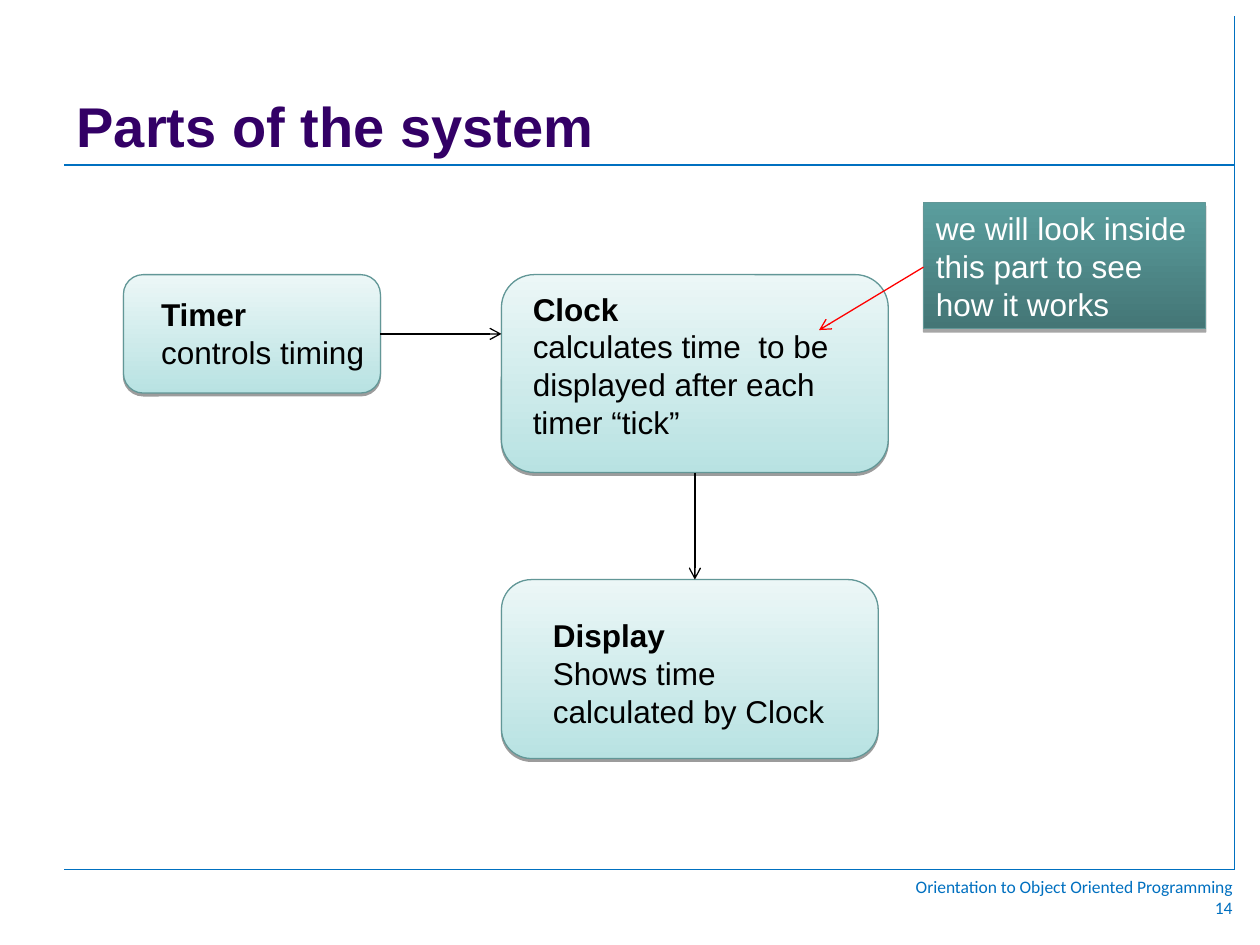
import pptx
import pptx.dml.color
import pptx.enum.shapes
import pptx.enum.text
import pptx.oxml
import pptx.oxml.ns
import pptx.util
from lxml import etree
from pptx.util import Inches

COLORS = {
    "title": "330066",
    "rule": "0070C0",
    "part_bottom": "B8E2E2",
    "part_top": "ECF7F7",
    "note_bottom": "447676",
    "note_top": "5A9D9D",
    "outline": "629797",
    "black": "000000",
    "white": "FFFFFF",
    "pointer": "FF0000",
}


def rgb(name):
    """Return the named colour."""
    return pptx.dml.color.RGBColor.from_string(COLORS[name])


def write_text(frame, lines, size=18, font="Arial", color="black", bold=(), align="LEFT", anchor="TOP", wrap=True):
    """Fill a text frame with one paragraph per line; bold holds the bold line numbers."""
    frame.word_wrap = wrap
    frame.vertical_anchor = pptx.enum.text.MSO_ANCHOR[anchor]
    for number, line in enumerate(lines):
        paragraph = frame.paragraphs[0] if number == 0 else frame.add_paragraph()
        paragraph.alignment = pptx.enum.text.PP_ALIGN[align]
        run = paragraph.add_run()
        run.text = line
        run.font.name = font
        run.font.size = pptx.util.Pt(size)
        run.font.bold = number in bold
        run.font.color.rgb = rgb(color)


def add_text(slide, box, lines, **text_format):
    """Place a text box at left, top, width, height in inches."""
    label = slide.shapes.add_textbox(*map(Inches, box))
    write_text(label.text_frame, lines, **text_format)


def add_line(slide, start, end, color, arrow=False):
    """Draw a thin straight line, with an open arrowhead at its end if asked."""
    line = slide.shapes.add_connector(
        pptx.enum.shapes.MSO_CONNECTOR.STRAIGHT, *map(Inches, (*start, *end)))
    line.line.color.rgb = rgb(color)
    line.line.width = pptx.util.Pt(0.75)
    properties = line._element.spPr
    if arrow:
        outline = properties.find(pptx.oxml.ns.qn("a:ln"))
        etree.SubElement(outline, pptx.oxml.ns.qn("a:tailEnd"), type="arrow")
    etree.SubElement(properties, pptx.oxml.ns.qn("a:effectLst"))


def add_panel(slide, box, preset, tone, shadow_distance, shadow_opacity):
    """Add a shape with a vertical gradient and a hard shadow below it."""
    panel = slide.shapes.add_shape(pptx.enum.shapes.MSO_SHAPE[preset], *map(Inches, box))
    panel.shadow.inherit = False
    panel.fill.gradient()
    panel.fill.gradient_angle = 90
    for stop, position, edge in zip(panel.fill.gradient_stops, (0, 1), ("bottom", "top")):
        stop.position = position
        stop.color.rgb = rgb(f"{tone}_{edge}")
    panel.line.color.rgb = rgb("outline")
    panel.line.width = pptx.util.Pt(0.75)
    effects = panel._element.spPr.find(pptx.oxml.ns.qn("a:effectLst"))
    effects.append(pptx.oxml.parse_xml(
        f'<a:outerShdw {pptx.oxml.ns.nsdecls("a")} blurRad="0" dir="5400000" '
        f'dist="{pptx.util.Pt(shadow_distance)}" rotWithShape="0">'
        f'<a:srgbClr val="{COLORS["black"]}"><a:alpha val="{shadow_opacity * 1000}"/></a:srgbClr>'
        '</a:outerShdw>'))
    return panel


def add_part(slide, box, text_offset, text_size, name, role, wrap=True):
    """Add a system part: a rounded panel with its name and role."""
    add_panel(slide, box, "ROUNDED_RECTANGLE", "part", 1.6, 38)
    text_box = (box[0] + text_offset[0], box[1] + text_offset[1], *text_size)
    add_text(slide, text_box, [name, role], bold=(0,), wrap=wrap)


def add_note(slide, box, text):
    """Add the dark note and its pointer into the clock part."""
    left, top, width, height = box
    note = add_panel(slide, box, "RECTANGLE", "note", 1.8, 35)
    write_text(note.text_frame, [text], color="white")
    add_line(slide, (left, top + 0.51), (left - 0.83, top + 1.01), "pointer", arrow=True)


def add_frame(slide, box, title, footer):
    """Add the rules, title and footer around the content area."""
    left, top, width, height = box
    right, bottom = left + width, top + height
    title_height = 1.18
    add_line(slide, (right, top), (right, bottom), "rule")
    for y in (bottom, top + title_height):
        add_line(slide, (left, y), (right, y), "rule")
    add_text(slide, (left, top, 7.89, title_height), [title],
             size=32, color="title", bold=(0,), anchor="BOTTOM")
    add_text(slide, (right - 7.3, bottom, 7.38, 0.44), footer,
             size=10, font="Calibri", color="rule", align="RIGHT")


def add_system(slide, box):
    """Add the three parts of the system and the arrows between them."""
    left, top, width, height = box
    clock_left, clock_width, clock_height = left + 3, 3.07, 1.57
    display_height = 1.42
    display_top = top + height - display_height
    timer_width, timer_height = 2.04, 0.94
    clock_center = clock_left + clock_width / 2
    timer_middle = top + timer_height / 2

    add_part(slide, (left, top, timer_width, timer_height), (0.2, 0.11), (1.81, 0.7),
             "Timer", "controls timing", wrap=False)
    add_part(slide, (clock_left, top, clock_width, clock_height), (0.15, 0.07), (2.91, 1.3),
             "Clock", "calculates time  to be displayed after each timer “tick”")
    add_part(slide, (clock_left, display_top, 2.99, display_height), (0.31, 0.24), (2.52, 1),
             "Display", "Shows time calculated by Clock")
    add_line(slide, (left + timer_width, timer_middle), (clock_left, timer_middle), "black", arrow=True)
    add_line(slide, (clock_center, top + clock_height), (clock_center, display_top), "black", arrow=True)


def main():
    """Build and save the slide."""
    deck = pptx.Presentation()
    deck.slide_width, deck.slide_height = Inches(10), Inches(7.5)
    slide = deck.slides.add_slide(deck.slide_layouts[6])
    add_frame(slide, (0.51, 0.13, 9.29, 6.77), "Parts of the system",
              ["Orientation to Object Oriented Programming", "14"])
    add_system(slide, (0.98, 2.18, 6.07, 3.84))
    add_note(slide, (7.33, 1.61, 2.24, 1), "we will look inside this part to see how it works")
    deck.save("out.pptx")


if __name__ == "__main__":
    main()
